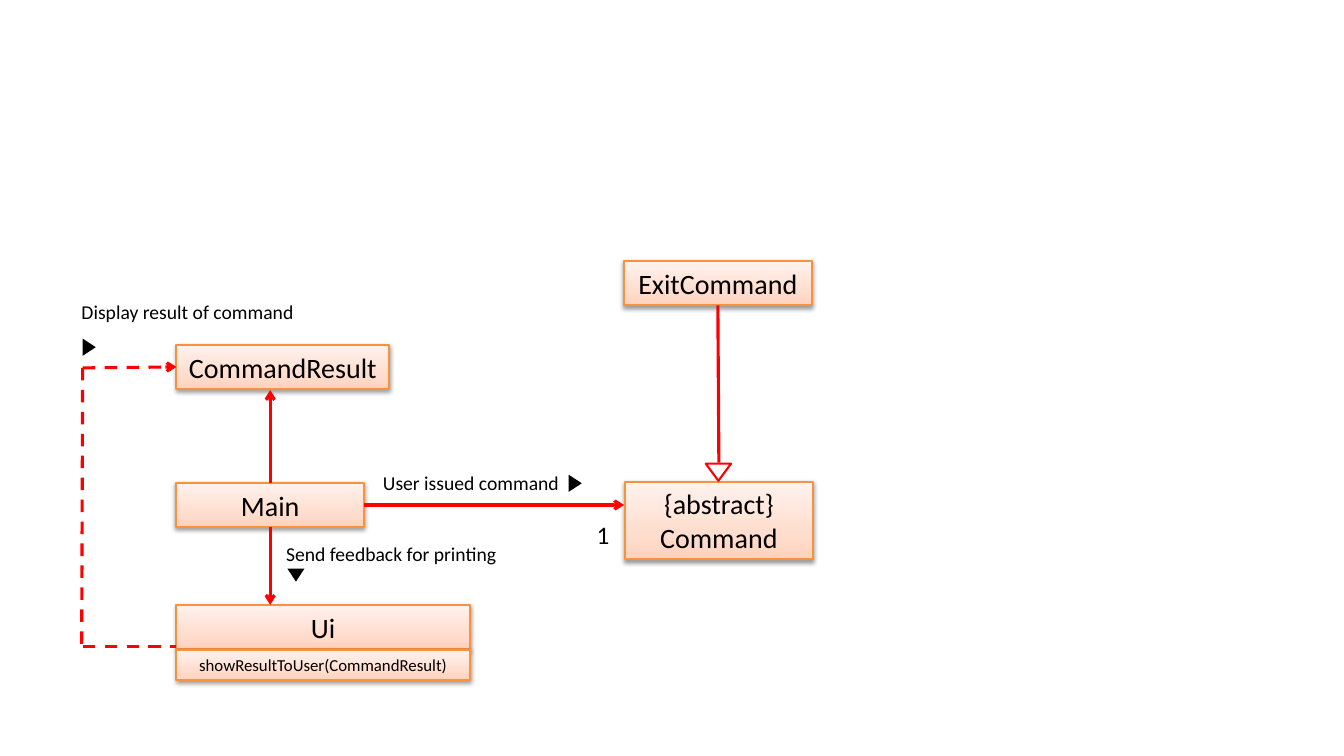
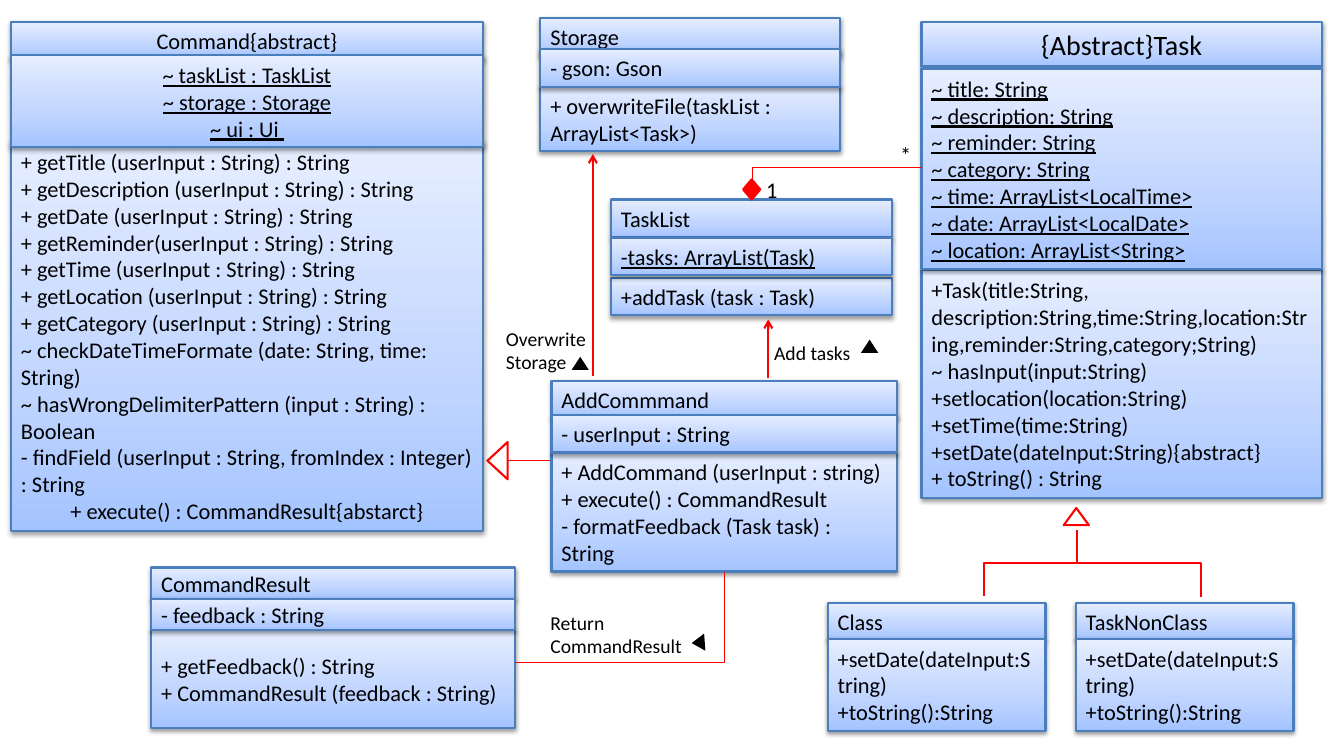
from copy import deepcopy
from dataclasses import dataclass

from pptx import Presentation
from pptx import util as u
from pptx.dml.color import RGBColor
from pptx.enum import dml, shapes, text
from pptx.oxml import parse_xml
from pptx.oxml.ns import nsdecls, qn

CELL = u.Inches(0.1)
FONT = "Calibri"
BLACK = RGBColor(0, 0, 0)
WHITE = RGBColor(255, 255, 255)
RED = RGBColor(255, 0, 0)
ORANGE_EDGE = RGBColor(0xF6, 0x92, 0x40)
ORANGE_STOPS = (RGBColor(0xFF, 0xD2, 0xBD), RGBColor(0xFF, 0xDE, 0xD0), RGBColor(0xFF, 0xF2, 0xED))
BLUE_EDGE = RGBColor(0x4B, 0x7E, 0xBC)
BLUE_STOPS = (RGBColor(0xA4, 0xC4, 0xFF), RGBColor(0xBF, 0xD4, 0xFF), RGBColor(0xE6, 0xEE, 0xFF))
ORANGE = (ORANGE_STOPS, ORANGE_EDGE)
BLUE = (BLUE_STOPS, BLUE_EDGE)
STOP_POSITIONS = (0, 0.35, 1)
LEFT, CENTER = text.PP_ALIGN.LEFT, text.PP_ALIGN.CENTER
PRESET = shapes.MSO_SHAPE


@dataclass
class Part:
    offset: float
    height: float
    lines: tuple
    size: int = 16
    align: text.PP_ALIGN = LEFT
    underline: bool = False


def cells(*lengths):
    return [u.Emu(round(length * CELL)) for length in lengths]


def write(frame, lines, size, align=LEFT, underline=False):
    frame.word_wrap = True
    for index, line in enumerate(lines):
        paragraph = frame.paragraphs[0] if index == 0 else frame.add_paragraph()
        paragraph.alignment = align
        run = paragraph.add_run()
        run.text = line
        run.font.name = FONT
        run.font.size = u.Pt(size)
        run.font.color.rgb = BLACK
        if underline:
            run.font.underline = True


def compartment(slide, box, part, palette):
    stops, edge = palette
    panel = slide.shapes.add_shape(PRESET.RECTANGLE, *cells(*box))
    panel.fill.gradient()
    panel.fill.gradient_angle = 90
    properties = panel._element.spPr
    stop_list = properties.find(".//" + qn("a:gsLst"))
    stop_list.append(deepcopy(stop_list[0]))
    for stop, position, color in zip(panel.fill.gradient_stops, STOP_POSITIONS, stops):
        stop.position = position
        stop.color.rgb = color
    panel.line.color.rgb = edge
    panel.line.width = u.Pt(1.5)
    panel.shadow.inherit = False
    properties.find(qn("a:effectLst")).append(parse_xml(
        f'<a:outerShdw {nsdecls("a")} blurRad="40000" dist="20000" dir="5400000" rotWithShape="0">'
        '<a:srgbClr val="000000"><a:alpha val="38000"/></a:srgbClr></a:outerShdw>'))
    panel.text_frame.vertical_anchor = text.MSO_ANCHOR.MIDDLE
    write(panel.text_frame, part.lines, part.size, part.align, part.underline)
    return panel


def class_box(slide, left, top, width, palette, *parts):
    return [compartment(slide, (left, top + part.offset, width, part.height), part, palette)
            for part in parts]


def label(slide, left, top, width, height, wording, size=14):
    caption = slide.shapes.add_textbox(*cells(left, top, width, height))
    write(caption.text_frame, (wording,), size)


def symbol(slide, preset, box, fill, edge=None, rotation=0):
    mark = slide.shapes.add_shape(preset, *cells(*box))
    mark.shadow.inherit = False
    mark.fill.solid()
    mark.fill.fore_color.rgb = fill
    if edge is None:
        mark.line.fill.background()
    else:
        mark.line.color.rgb = edge
        mark.line.width = u.Pt(1.5)
    mark.rotation = rotation


def direction(slide, left, top, rotation=0):
    symbol(slide, PRESET.ISOSCELES_TRIANGLE, (left, top, 1.7, 1.3), BLACK, rotation=rotation)


def generalization(slide, left, top, width, height, rotation=0):
    symbol(slide, PRESET.ISOSCELES_TRIANGLE, (left, top, width, height), WHITE, RED, rotation)


def link(slide, start, end, width, arrow=False, dashed=False, kind=shapes.MSO_CONNECTOR.STRAIGHT):
    line = slide.shapes.add_connector(kind, *cells(*start, *end))
    line.line.color.rgb = RED
    line.line.width = u.Pt(width)
    if dashed:
        line.line.dash_style = dml.MSO_LINE.DASH
    if arrow:
        line.get_or_add_ln().append(parse_xml(f'<a:tailEnd {nsdecls("a")} type="arrow"/>'))
    line._element.spPr.append(parse_xml(f'<a:effectLst {nsdecls("a")}/>'))
    return line


def vertical_elbow(slide, start, end, width, preset, turn=90):
    (x1, y1), (x2, y2) = start, end
    sign = 1 if turn == 90 else -1
    middle_x, middle_y = (x1 + x2) / 2, (y1 + y2) / 2
    half_x, half_y = sign * (y2 - y1) / 2, -sign * (x2 - x1) / 2
    line = link(slide, (middle_x - half_x, middle_y - half_y),
                (middle_x + half_x, middle_y + half_y), width,
                kind=shapes.MSO_CONNECTOR.ELBOW)
    properties = line._element.spPr
    properties.find(qn("a:xfrm")).set("rot", str(turn * 60000))
    properties.find(qn("a:prstGeom")).set("prst", preset)


def command_flow(slide):
    def box(left, top, width, height, *lines):
        return class_box(slide, left, top, width, ORANGE, Part(0, height, lines, 20, CENTER))[0]

    class_box(slide, 17.5, 60, 29.1, ORANGE,
              Part(0, 4.4, ("Ui",), 20, CENTER),
              Part(4.5, 3, ("showResultToUser(CommandResult)",), 12, CENTER))
    main_class = box(17.5, 47.9, 18.6, 4.4, "Main")
    box(62, 47.8, 18.6, 7.7, "{abstract}", "Command")
    exit_command = box(61.9, 25.9, 18.6, 4.4, "ExitCommand")
    command_result = box(17.5, 34.2, 21.1, 4.4, "CommandResult")

    generalization(slide, 70, 46, 2.5, 1.7, 180)
    link(slide, (71.2, 30.3), (71.3, 45.9), 2.25).begin_connect(exit_command, 2)
    for start, end, side in (((26.8, 52.3), (26.8, 60), 2),
                             ((26.8, 47.9), (26.8, 38.7), 0),
                             ((36.1, 50.1), (61.9, 50.1), 3)):
        link(slide, start, end, 2.25, arrow=True).begin_connect(main_class, side)

    link(slide, (8.2, 36.5), (17.5, 36.5), 2.25, arrow=True, dashed=True).end_connect(command_result, 1)
    link(slide, (8.2, 36.5), (8.1, 64.3), 2.25, dashed=True)
    link(slide, (8.2, 64.1), (17.5, 64.1), 2.25, dashed=True)

    label(slide, 37, 46.2, 24, 3.4, "User issued command")
    direction(slide, 56.2, 47.3, 90)
    label(slide, 58.2, 51, 3.3, 4, "1", 18)
    label(slide, 7.1, 29.3, 24, 3.4, "Display result of command")
    direction(slide, 8, 33.8, 90)
    label(slide, 27.4, 53.3, 24, 3.4, "Send feedback for printing")
    direction(slide, 28.5, 56.4, 180)


def command_classes(slide):
    generalization(slide, 47.5, 44.7, 3.7, 2, 270)
    class_box(slide, 60.6, 19.8, 27.9, BLUE,
              Part(0, 3.7, ("TaskList",)),
              Part(7.8, 3.7, ("+addTask (task : Task)",)),
              Part(3.8, 3.7, ("-tasks: ArrayList(Task)",), underline=True))
    class_box(slide, 15, 56.3, 36.1, BLUE,
              Part(0, 3.1, ("CommandResult",)),
              Part(6.2, 9.7, ("+ getFeedback() : String", "+ CommandResult (feedback : String)")),
              Part(3.1, 3.1, ("- feedback : String",)))
    getters = ("Title ", "Description ", "Date ", "Reminder", "Time ", "Location ", "Category ")
    command = class_box(
        slide, 1.1, 2.2, 46.8, BLUE,
        Part(0, 3.7, ("Command{abstract}",), align=CENTER),
        Part(11.8, 38.7, (
            *(f"+ get{field}(userInput : String) : String" for field in getters),
            "~ checkDateTimeFormate (date: String, time: String)",
            "~ hasWrongDelimiterPattern (input : String) : Boolean",
            "- findField (userInput : String, fromIndex : Integer) : String",
            "+ execute() : CommandResult{abstarct}")),
        Part(3.3, 9.1, ("~ taskList : TaskList", "~ storage : Storage", "~ ui : Ui "),
             align=CENTER, underline=True))
    command[1].text_frame.paragraphs[-1].alignment = CENTER
    class_box(slide, 54.7, 37.8, 34.3, BLUE,
              Part(0, 3.7, ("AddCommmand",)),
              Part(7.1, 11.8, ("+ AddCommand (userInput : string)", "+ execute() : CommandResult",
                               "- formatFeedback (Task task) : String")),
              Part(3.4, 3.7, ("- userInput : String",)))
    class_box(slide, 53.6, 1.8, 29.7, BLUE,
              Part(0, 3.7, ("Storage",)),
              Part(6.8, 6.4, ("+ overwriteFile(taskList : ArrayList<Task>)",)),
              Part(3.1, 3.7, ("- gson: Gson",)))

    link(slide, (50.3, 45.7), (54.5, 45.7), 0.75)
    link(slide, (76.2, 37.5), (76.2, 31.7), 1.5, arrow=True)
    link(slide, (58.8, 37.3), (58.8, 15.3), 1.5, arrow=True)
    vertical_elbow(slide, (71.9, 56.7), (51.1, 65.7), 0.75, "bentConnector2")
    label(slide, 75.8, 33.3, 11.4, 3.4, "Add tasks")
    direction(slide, 85.4, 33.7)
    label(slide, 49.2, 31.9, 11.4, 5.7, "Overwrite Storage")
    direction(slide, 56.7, 35.4)
    label(slide, 53.6, 60.1, 15.9, 5.7, "Return CommandResult")
    direction(slide, 68.4, 63.1, 265.8)


def task_classes(slide):
    generalization(slide, 105.5, 50.4, 2.5, 1.7)
    vertical_elbow(slide, (119.1, 59.2), (106.8, 52.6), 1.5, "bentConnector3", 270)
    vertical_elbow(slide, (97.6, 59.1), (106.8, 52.6), 1.5, "bentConnector3")
    fields = ("title: String", "description: String", "reminder: String", "category: String",
              "time: ArrayList<LocalTime>", "date: ArrayList<LocalDate>",
              "location: ArrayList<String>")
    class_box(slide, 91.4, 2.2, 39.7, BLUE,
              Part(0, 4.4, ("{Abstract}Task",), 20, CENTER),
              Part(24.6, 22.6, (
                  "+Task(title:String, description:String,time:String,location:String,"
                  "reminder:String,category;String)",
                  "~ hasInput(input:String)", "+setlocation(location:String)",
                  "+setTime(time:String)", "+setDate(dateInput:String){abstract}",
                  "+ toString() : String")),
              Part(4.6, 19.9, tuple(f"~ {field}" for field in fields), underline=True))
    for left, name in ((82.1, "Class"), (106.7, "TaskNonClass")):
        class_box(slide, left, 59.8, 21.6, BLUE,
                  Part(0, 3.7, (name,)),
                  Part(3.6, 9.1, ("+setDate(dateInput:String)", "+toString():String")))
    symbol(slide, PRESET.FLOWCHART_DECISION, (73.7, 17.8, 1.7, 2), RED, RED)
    vertical_elbow(slide, (74.6, 19.8), (91.4, 16.6), 0.75, "bentConnector2")
    label(slide, 75, 17, 6.7, 3.7, "1", 16)
    label(slide, 88.3, 13.5, 6.7, 3.7, "*", 16)


def main():
    deck = Presentation()
    deck.slide_width, deck.slide_height = u.Inches(13.33), u.Inches(7.5)
    blank = deck.slide_layouts[6]
    command_flow(deck.slides.add_slide(blank))
    class_diagram = deck.slides.add_slide(blank)
    command_classes(class_diagram)
    task_classes(class_diagram)
    deck.save("out.pptx")


if __name__ == "__main__":
    main()
